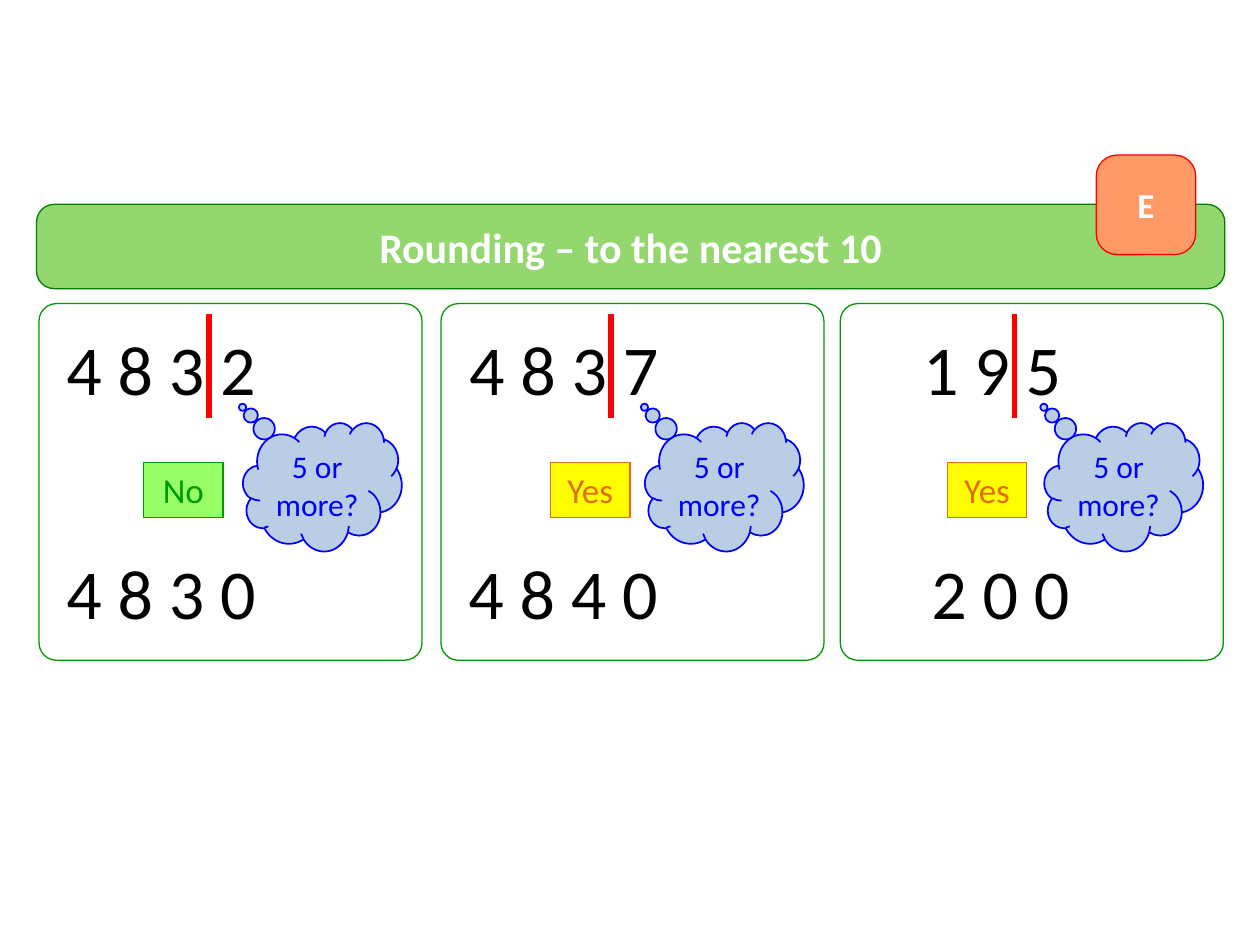
import pptx
import pptx.dml.color
import pptx.enum.shapes
import pptx.enum.text
import pptx.oxml.ns
import pptx.util
from lxml import etree

Pt = pptx.util.Pt
SHAPE = pptx.enum.shapes.MSO_SHAPE
ALIGN = pptx.enum.text.PP_ALIGN
ANCHOR = pptx.enum.text.MSO_ANCHOR
AUTO_SIZE = pptx.enum.text.MSO_AUTO_SIZE

FONT = "Calibri"
COLOURS = {
    "white": "FFFFFF",
    "black": "000000",
    "red": "FF0000",
    "blue": "0000FF",
    "banner": "93D76E",
    "banner_line": "008000",
    "green": "009900",
    "light_green": "99FF66",
    "yellow": "FFFF00",
    "orange": "E46C0A",
    "pale_blue": "B9CDE5",
    "salmon": "FF9966",
}
ANSWERS = {"Yes": ("yellow", "orange"), "No": ("light_green", "green")}

# left edge, number, answer, rounded number, then offsets from the left edge
# of the number, the cut and the answer, and the indent of the rounded number
PANELS = [
    (22.3, "4 8 3 2", "No", "4 8 3 0", 8.6, 97.2, 59.8, 0),
    (252, "4 8 3 7", "Yes", "4 8 4 0", 9, 97.2, 62.6, 0),
    (480.2, "1 9 5", "Yes", "2 0 0", 40.3, 99.4, 61.2, 36.2),
]


def colour(name):
    return pptx.dml.color.RGBColor.from_string(COLOURS[name])


def add_outlined(shapes, kind, frame, fill, line, width=0.75, adjustments=()):
    """Add a preset shape with a plain outline; fill None leaves it hollow."""
    shape = shapes.add_shape(kind, *map(Pt, frame))
    shape.shadow.inherit = False
    if fill:
        shape.fill.solid()
        shape.fill.fore_color.rgb = colour(fill)
    else:
        shape.fill.background()
    shape.line.color.rgb = colour(line)
    shape.line.width = Pt(width)
    for index, value in enumerate(adjustments):
        shape.adjustments[index] = value
    return shape


def write(shape, text, size, ink, align=ALIGN.CENTER, bold=False, anchor=ANCHOR.TOP):
    frame = shape.text_frame
    frame.word_wrap = True
    frame.vertical_anchor = anchor
    frame.text = text
    para = frame.paragraphs[0]
    para.alignment = align
    font = para.runs[0].font
    font.name = FONT
    font.size = Pt(size)
    font.bold = bold
    font.color.rgb = colour(ink)


def add_text(shapes, frame, text, size, ink, align, indent=0):
    box = shapes.add_textbox(*map(Pt, frame))
    write(box, text, size, ink, align)
    box.text_frame.auto_size = AUTO_SIZE.SHAPE_TO_FIT_TEXT
    box.text_frame.margin_left = Pt(7.2 + indent)


def add_number(page, left, top, digits, indent=0):
    add_text(page.shapes, (left, top, 174, 55.4), digits, 40, "black", ALIGN.LEFT, indent)


def add_cut(page, x):
    """Draw the red line in front of the digit that decides."""
    line = page.shapes.add_connector(
        pptx.enum.shapes.MSO_CONNECTOR.STRAIGHT, Pt(x), Pt(179.3), Pt(x), Pt(239)
    )
    line.line.color.rgb = colour("red")
    line.line.width = Pt(3)
    etree.SubElement(line._element.spPr, pptx.oxml.ns.qn("a:effectLst"))


def add_answer(page, left, answer):
    fill, ink = ANSWERS[answer]
    box = add_outlined(page.shapes, SHAPE.RECTANGLE, (left, 264.2, 45.4, 31.7), fill, ink)
    write(box, answer, 20, ink)
    box.text_frame.auto_size = AUTO_SIZE.SHAPE_TO_FIT_TEXT


def add_question(page, left):
    group = page.shapes.add_group_shape()
    add_outlined(group.shapes, SHAPE.CLOUD_CALLOUT, (left, 241.5, 90.7, 73.4),
                 "pale_blue", "blue", 1, (-0.503, -0.62))
    add_text(group.shapes, (left + 4.6, 252, 75.6, 51.1),
             "5 or more?", 18, "blue", ALIGN.CENTER)


def add_panel(page, left, number, answer, rounded, number_x, cut_x, answer_x, indent):
    add_outlined(page.shapes, SHAPE.ROUNDED_RECTANGLE, (left, 173.5, 218.9, 203.8),
                 None, "green", adjustments=(0.049,))
    add_cut(page, left + cut_x)
    add_number(page, left + number_x, 182.5, number)
    add_answer(page, left + answer_x, answer)
    add_question(page, left + 116.6)
    add_number(page, left + 8.6, 310.3, rounded, indent)


def add_heading(page, frame, text, size, fill, line):
    shape = add_outlined(page.shapes, SHAPE.ROUNDED_RECTANGLE, frame, fill, line,
                         adjustments=(0.211,))
    write(shape, text, size, "white", bold=True, anchor=ANCHOR.MIDDLE)


def main():
    deck = pptx.Presentation()
    deck.slide_width, deck.slide_height = Pt(720), Pt(540)
    page = deck.slides.add_slide(deck.slide_layouts[6])
    add_heading(page, (20.9, 116.8, 679, 48.2), "Rounding – to the nearest 10", 24,
                "banner", "banner_line")
    for panel in PANELS:
        add_panel(page, *panel)
    add_heading(page, (626.4, 88.6, 56.9, 56.9), "E", 20, "salmon", "red")
    deck.save("out.pptx")


if __name__ == "__main__":
    main()
